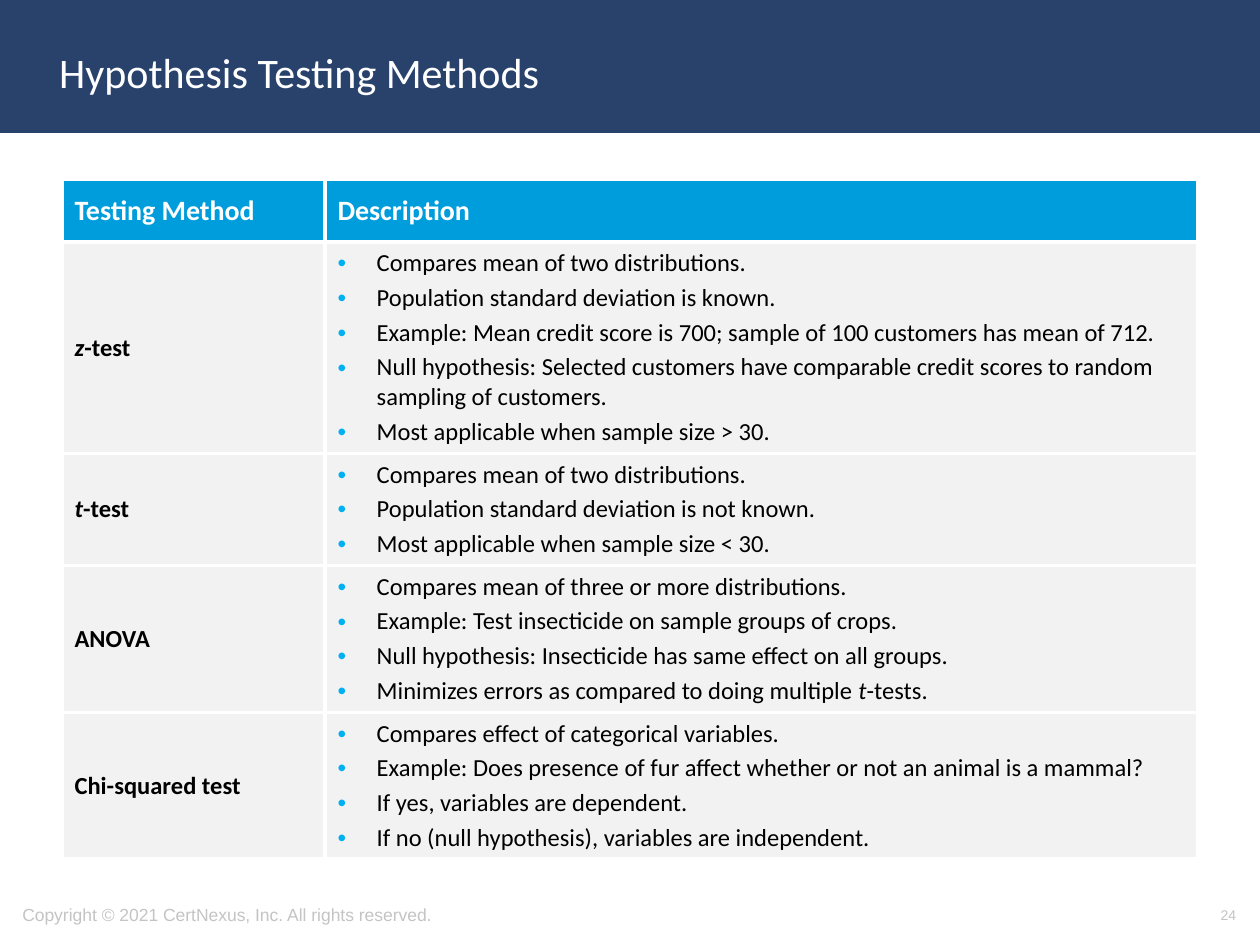
import pptx
import pptx.dml.color
import pptx.enum.shapes
import pptx.enum.text
import pptx.oxml
import pptx.oxml.ns
import pptx.util

Cm = pptx.util.Cm
Pt = pptx.util.Pt
RGBColor = pptx.dml.color.RGBColor
ALIGN = pptx.enum.text.PP_ALIGN
MIDDLE = pptx.enum.text.MSO_ANCHOR.MIDDLE

NAVY = RGBColor(0x28, 0x42, 0x6C)
BLUE = RGBColor(0x00, 0x9D, 0xDC)
BULLET_BLUE = RGBColor(0x00, 0xB0, 0xF0)
PALE_GREY = RGBColor(0xF2, 0xF2, 0xF2)
FOOTER_GREY = RGBColor(0xC4, 0xC4, 0xC4)
WHITE = RGBColor(0xFF, 0xFF, 0xFF)
BLACK = RGBColor(0x00, 0x00, 0x00)

# Words between asterisks are italic
METHODS = [
    ("*z*-test", [
        "Compares mean of two distributions.",
        "Population standard deviation is known.",
        "Example: Mean credit score is 700; sample of 100 customers has mean of 712.",
        "Null hypothesis: Selected customers have comparable credit scores to random "
        "sampling of customers.",
        "Most applicable when sample size > 30.",
    ]),
    ("*t*-test", [
        "Compares mean of two distributions.",
        "Population standard deviation is not known.",
        "Most applicable when sample size < 30.",
    ]),
    ("ANOVA", [
        "Compares mean of three or more distributions.",
        "Example: Test insecticide on sample groups of crops.",
        "Null hypothesis: Insecticide has same effect on all groups.",
        "Minimizes errors as compared to doing multiple *t*-tests.",
    ]),
    ("Chi-squared test", [
        "Compares effect of categorical variables.",
        "Example: Does presence of fur affect whether or not an animal is a mammal?",
        "If yes, variables are dependent.",
        "If no (null hypothesis), variables are independent.",
    ]),
]
COLUMN_WIDTHS = [5.3, 17.6]
ROW_HEIGHTS = [1.27, 4.26, 2.26, 2.96, 2.96]


class SlideBuilder:
    body_font = "Calibri"
    footer_font = "Arial"

    def __init__(self, presentation):
        self.slide = presentation.slides.add_slide(presentation.slide_layouts[5])

    def add_text(self, paragraph, text, size, color, font=body_font, bold=False):
        for index, part in enumerate(text.split("*")):
            if part:
                run = paragraph.add_run()
                run.text = part
                run.font.name = font
                run.font.size = Pt(size)
                run.font.bold = bold
                run.font.italic = index % 2 == 1
                run.font.color.rgb = color

    def title(self, text, left, top, width, height):
        title = self.slide.shapes.title
        title.left, title.top = Cm(left), Cm(top)
        title.width, title.height = Cm(width), Cm(height)
        title.text_frame.vertical_anchor = MIDDLE
        paragraph = title.text_frame.paragraphs[0]
        paragraph.alignment = ALIGN.LEFT
        self.add_text(paragraph, text, 24, WHITE)

    def title_band(self, width, height):
        band = self.slide.shapes.add_shape(
            pptx.enum.shapes.MSO_SHAPE.RECTANGLE, 0, 0, width, Cm(height))
        band.shadow.inherit = False
        band.fill.solid()
        band.fill.fore_color.rgb = NAVY
        band.line.color.rgb = NAVY
        band.line.width = Pt(2)
        # Place the band behind the title
        self.slide.shapes.title.element.addprevious(band.element)

    def footer(self, text, left, width, size, alignment):
        box = self.slide.shapes.add_textbox(Cm(left), Cm(17.93), Cm(width), Cm(1.02))
        box.text_frame.word_wrap = True
        box.text_frame.vertical_anchor = MIDDLE
        paragraph = box.text_frame.paragraphs[0]
        paragraph.alignment = alignment
        self.add_text(paragraph, text, size, FOOTER_GREY, self.footer_font)

    def table(self, left, top, widths, heights):
        frame = self.slide.shapes.add_table(
            len(heights), len(widths), Cm(left), Cm(top),
            Cm(sum(widths)), Cm(sum(heights)))
        table = frame.table
        table.horz_banding = False
        for column, width in zip(table.columns, widths):
            column.width = Cm(width)
        for row, height in zip(table.rows, heights):
            row.height = Cm(height)
        return table

    def cell(self, cell, lines, fill, size=14, color=BLACK, bold=False, bullets=False):
        cell.fill.solid()
        cell.fill.fore_color.rgb = fill
        cell.vertical_anchor = MIDDLE
        self.borders(cell)
        for index, line in enumerate(lines):
            if index == 0:
                paragraph = cell.text_frame.paragraphs[0]
            else:
                paragraph = cell.text_frame.add_paragraph()
                paragraph.space_before = Pt(0.2 * size)
            if bullets:
                self.bullet(paragraph)
            self.add_text(paragraph, line, size, color, bold=bold)

    def borders(self, cell):
        properties = cell._tc.get_or_add_tcPr()
        for index, side in enumerate(("lnL", "lnR", "lnT", "lnB")):
            properties.insert(index, pptx.oxml.parse_xml(
                f'<a:{side} {pptx.oxml.ns.nsdecls("a")} w="{Pt(2.25)}">'
                f'<a:solidFill><a:srgbClr val="{WHITE}"/></a:solidFill></a:{side}>'))

    def bullet(self, paragraph):
        namespace = pptx.oxml.ns.nsdecls("a")
        properties = paragraph._p.get_or_add_pPr()
        properties.set("marL", str(Cm(0.79)))
        properties.set("indent", str(-Cm(0.79)))
        for markup in (
                f'<a:buClr {namespace}><a:srgbClr val="{BULLET_BLUE}"/></a:buClr>',
                f'<a:buFont {namespace} typeface="Arial"/>',
                f'<a:buChar {namespace} char="•"/>'):
            properties.append(pptx.oxml.parse_xml(markup))


def main():
    presentation = pptx.Presentation()
    presentation.slide_width = Cm(25.4)
    presentation.slide_height = Cm(19.05)
    builder = SlideBuilder(presentation)

    # Title on its band
    builder.title_band(presentation.slide_width, 2.64)
    builder.title("Hypothesis Testing Methods", 0.94, 0.28, 21.9, 2.34)

    # Table of testing methods
    table = builder.table(1.25, 3.61, COLUMN_WIDTHS, ROW_HEIGHTS)
    for column, heading in enumerate(("Testing Method", "Description")):
        builder.cell(table.cell(0, column), [heading], BLUE, 16, WHITE, bold=True)
    for row, (method, points) in enumerate(METHODS, start=1):
        builder.cell(table.cell(row, 0), [method], PALE_GREY, bold=True)
        builder.cell(table.cell(row, 1), points, PALE_GREY, bullets=True)

    # Footer
    builder.footer("Copyright © 2021 CertNexus, Inc. All rights reserved.",
                   0.2, 13.39, 10, ALIGN.LEFT)
    builder.footer("24", 19.25, 5.92, 8, ALIGN.RIGHT)

    presentation.save("out.pptx")


if __name__ == "__main__":
    main()
